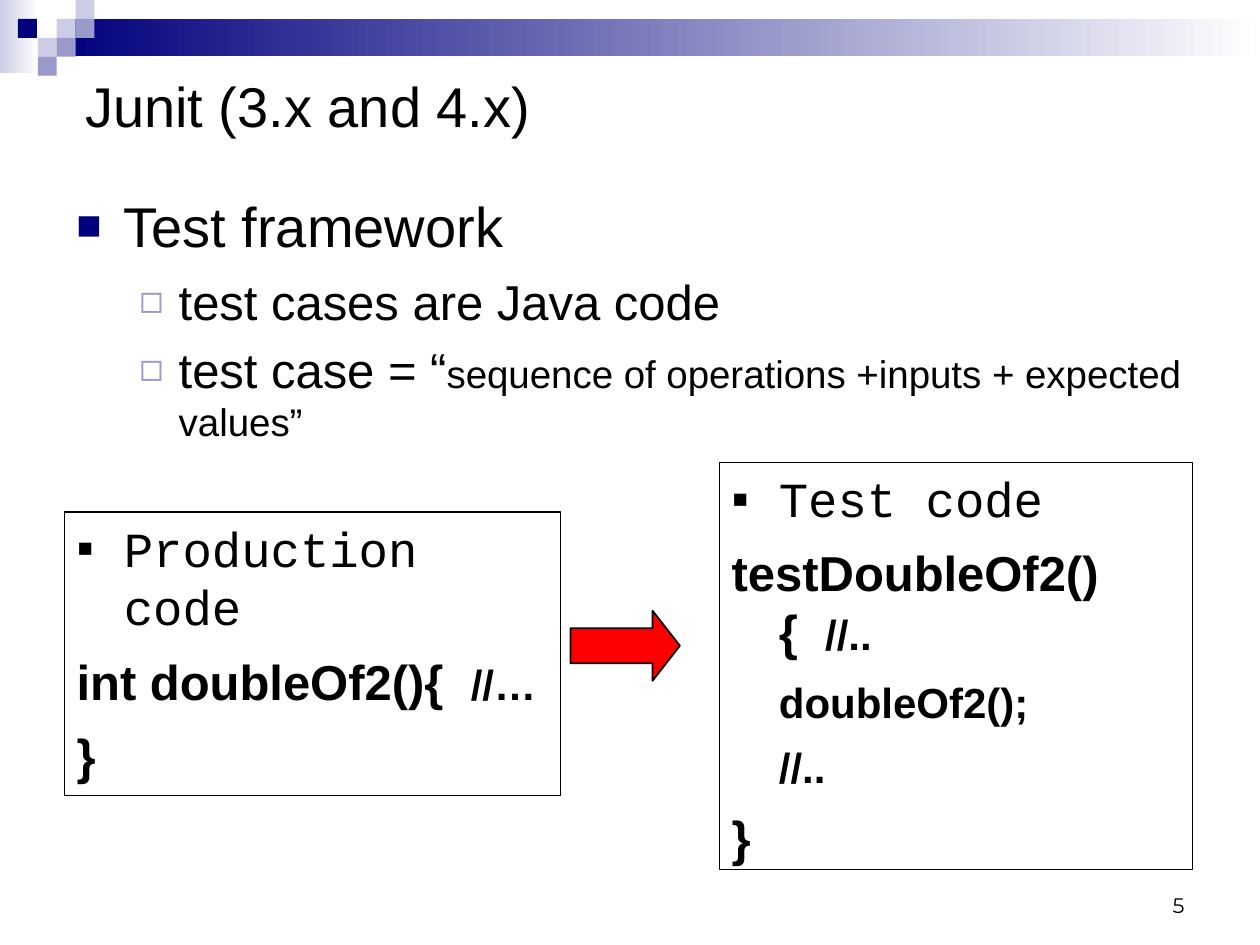
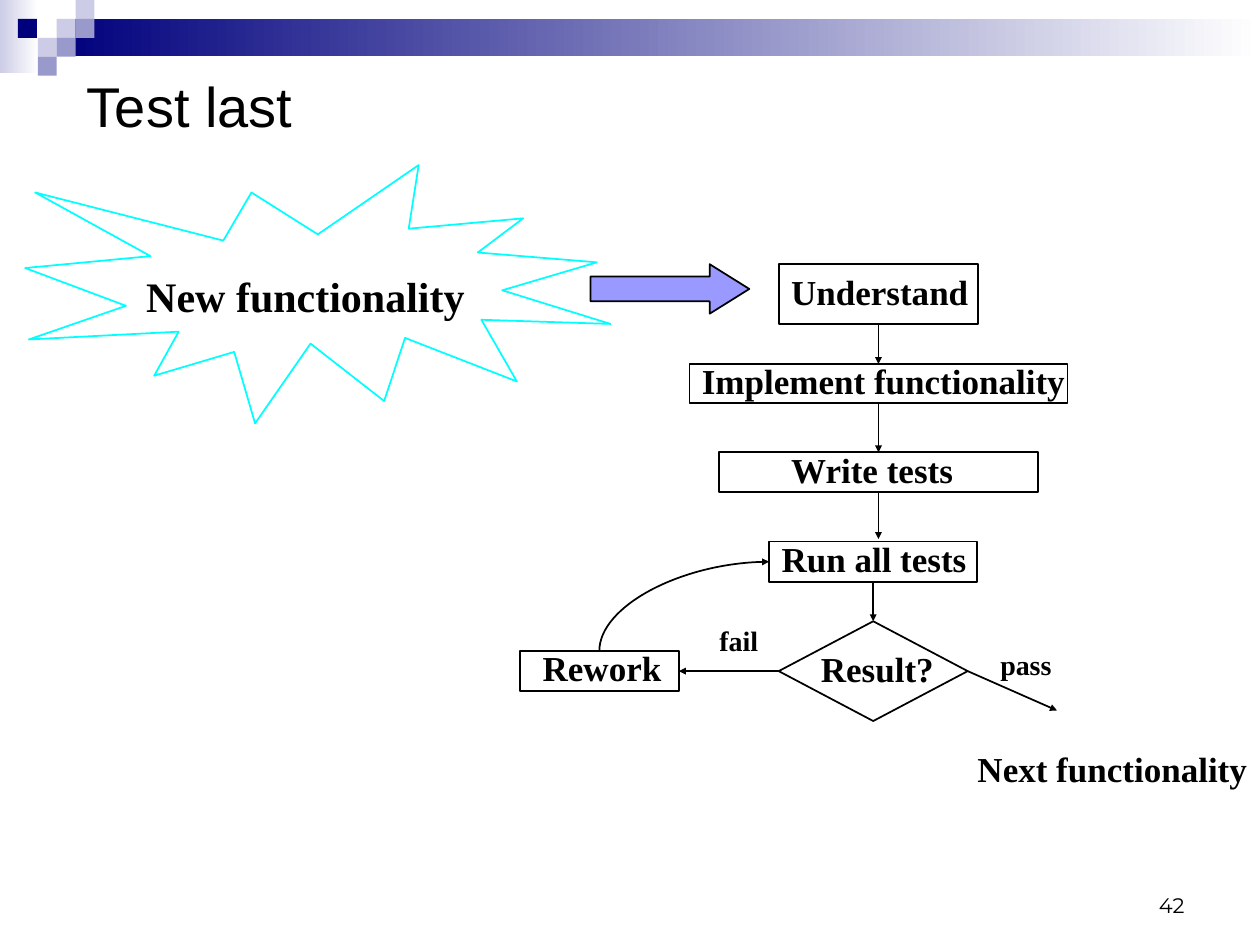
import pptx
import pptx.dml.color
import pptx.enum.shapes
import pptx.enum.text
import pptx.oxml.ns
import pptx.util
from lxml import etree

Pt = pptx.util.Pt
SHAPE = pptx.enum.shapes.MSO_SHAPE
CONNECTOR = pptx.enum.shapes.MSO_CONNECTOR
ALIGN = pptx.enum.text.PP_ALIGN
ANCHOR = pptx.enum.text.MSO_ANCHOR
AUTO_SIZE = pptx.enum.text.MSO_AUTO_SIZE
qn = pptx.oxml.ns.qn

BLACK, WHITE, NAVY = "000000", "FFFFFF", "00007D"
LAVENDER, PALE, MIDDLE = "9999CC", "CCCCE6", "9999FF"
RED, CYAN = "FF0000", "00FFFF"
SANS, MONO, SERIF, NUMBER = "Arial", "Courier New", "Times New Roman", "Montserrat"
TOP, LEFT, BOTTOM, RIGHT = range(4)


def rgb(value):
    return pptx.dml.color.RGBColor.from_string(value)


def points(*values):
    return [Pt(value) for value in values]


def add_xml(parent, tag, **attributes):
    return etree.SubElement(parent, qn(tag), attributes)


def set_bullet(paragraph, char, color, size):
    props = paragraph._p.get_or_add_pPr()
    add_xml(add_xml(props, "a:buClr"), "a:srgbClr", val=color)
    add_xml(props, "a:buSzPct", val=str(size * 1000))
    add_xml(props, "a:buFont", typeface=SANS)
    add_xml(props, "a:buChar", char=char)


def write(paragraph, text, size=20, font=SANS, color=BLACK, bold=False):
    run = paragraph.add_run()
    run.text = text
    run.font.size = Pt(size)
    run.font.name = font
    run.font.bold = bold
    run.font.color.rgb = rgb(color)


def set_frame(frame, anchor=ANCHOR.TOP, wrap=True, auto_size=AUTO_SIZE.NONE):
    frame.word_wrap = wrap
    frame.auto_size = auto_size
    frame.vertical_anchor = anchor
    frame.margin_left = frame.margin_right = Pt(7.2)
    frame.margin_top = frame.margin_bottom = Pt(3.6)


def fill_list(frame, items, after=0):
    """Write items of (runs, left, indent, space before, bullet); a run is (text, format)."""
    set_frame(frame)
    for number, (runs, left, indent, before, bullet) in enumerate(items):
        paragraph = frame.add_paragraph() if number else frame.paragraphs[0]
        paragraph.alignment = ALIGN.LEFT
        paragraph.space_before = Pt(before)
        paragraph.space_after = Pt(after)
        props = paragraph._p.get_or_add_pPr()
        props.set("marL", str(Pt(left)))
        props.set("indent", str(Pt(indent)))
        if bullet:
            set_bullet(paragraph, *bullet)
        for text, look in runs:
            write(paragraph, text, **look)


def add_box(slide, kind, box, fill=None, line=None, width=1):
    shape = slide.shapes.add_shape(kind, *points(*box))
    shape.shadow.inherit = False
    if fill:
        shape.fill.solid()
        shape.fill.fore_color.rgb = rgb(fill)
    else:
        shape.fill.background()
    if line:
        shape.line.color.rgb = rgb(line)
        shape.line.width = Pt(width)
    else:
        shape.line.fill.background()
    return shape


def add_label(slide, text, box, **look):
    frame = slide.shapes.add_textbox(*points(*box)).text_frame
    set_frame(frame, wrap=False, auto_size=AUTO_SIZE.SHAPE_TO_FIT_TEXT)
    write(frame.paragraphs[0], text, font=SERIF, bold=True, **look)


def add_arrow(slide, start, end, kind=CONNECTOR.STRAIGHT):
    """Join two ends, each a point (x, y) or a side (shape, site)."""
    start_joined, end_joined = (hasattr(part[0], "shape_id") for part in (start, end))
    arrow = slide.shapes.add_connector(kind, *points(*((0, 0) if start_joined else start),
                                                     *((0, 0) if end_joined else end)))
    if start_joined:
        arrow.begin_connect(*start)
    if end_joined:
        arrow.end_connect(*end)
    arrow.line.color.rgb = rgb(BLACK)
    arrow.line.width = Pt(1)
    add_xml(arrow.line._get_or_add_ln(), "a:tailEnd", type="triangle", w="sm", len="sm")
    add_xml(arrow._element.spPr, "a:effectLst")
    return arrow


def add_fade(slide, box, color):
    fade = add_box(slide, SHAPE.RECTANGLE, box, WHITE)
    fade.fill.gradient()
    fade.fill.gradient_angle = 0
    for stop, stop_color, position in zip(fade.fill.gradient_stops, (color, WHITE), (0, 1)):
        stop.color.rgb = rgb(stop_color)
        stop.position = position


def add_band(slide):
    add_fade(slide, (0, 0, 22, 42), PALE)
    add_fade(slide, (32.4, 10.8, 687.6, 21.3), NAVY)
    side = 10.8
    tiles = [(3, 1, PALE), (4, 0, PALE), (4, 1, LAVENDER), (2, 2, PALE),
             (0.95, 1, NAVY), (3, 2, LAVENDER), (2, 3, LAVENDER)]
    for column, row, color in tiles:
        add_box(slide, SHAPE.RECTANGLE, (column * side, row * side, side, side), color)


def add_page(deck, title, title_box, number):
    """Add a slide with the band, its title and its page number."""
    slide = deck.slides.add_slide(deck.slide_layouts[5])
    add_band(slide)
    heading = slide.shapes.title
    heading.left, heading.top, heading.width, heading.height = points(*title_box)
    set_frame(heading.text_frame, ANCHOR.MIDDLE)
    heading.text_frame.paragraphs[0].alignment = ALIGN.LEFT
    write(heading.text_frame.paragraphs[0], title, size=32)
    page = slide.shapes.add_textbox(*points(516, 492, 168, 36)).text_frame
    set_frame(page, ANCHOR.BOTTOM)
    page.paragraphs[0].alignment = ALIGN.RIGHT
    write(page.paragraphs[0], number, size=12, font=NUMBER)
    return slide


def add_code(slide, box, heading, lines):
    """Frame a bulleted heading and code lines of (runs, left, indent)."""
    panel = add_box(slide, SHAPE.RECTANGLE, box, line=BLACK, width=0.75)
    items = [([(heading, dict(size=28, font=MONO))], 27, -27, 0, ("▪", BLACK, 100))]
    items += [([(text, dict(size=size, bold=True)) for text, size in runs], left, indent, 7, None)
              for runs, left, indent in lines]
    fill_list(panel.text_frame, items, after=1.8)


def add_framework_points(slide, box):
    square, hollow = ("■", NAVY, 75), ("◻", LAVENDER, 80)
    body = slide.shapes.add_textbox(*points(*box))
    fill_list(body.text_frame, [
        ([("Test framework", dict(size=32))], 27, -27, 0, square),
        ([("test cases are Java code", dict(size=28))], 58.5, -22.5, 7, hollow),
        ([("test case = “", dict(size=28)),
          ("sequence of operations +inputs + expected values”", dict(size=22))],
         58.5, -22.5, 5.5, hollow),
    ])


def build_junit(deck):
    slide = add_page(deck, "Junit (3.x and 4.x)", (41.5, 37, 678, 46), "5")
    add_framework_points(slide, (36.5, 106, 663, 152.5))
    add_code(slide, (411, 264.3, 270.5, 232.5), "Test code", [
        ([("testDoubleOf2(){  ", 28), ("//..", 24)], 27, -27),
        ([("doubleOf2();", 24)], 27, 0),
        ([("//..", 24)], 27, 0),
        ([("}", 28)], 27, -27),
    ])
    add_code(slide, (36.7, 292.5, 283.5, 162), "Production code", [
        ([("int doubleOf2(){  ", 28), ("//…", 24)], 27, -27),
        ([("}", 28)], 27, -27),
    ])
    arrow = add_box(slide, SHAPE.RIGHT_ARROW, (326, 349, 62.5, 40), RED, BLACK)
    arrow.adjustments[1] = 0.39


def add_flow(slide, x, y):
    """Draw the test-last flowchart with its top left corner at x, y."""
    # name, kind, step box, offset of its label, label width
    steps = [
        ("Understand", SHAPE.RECTANGLE, (148, 0, 114, 34), (0, 0), 116),
        ("Implement functionality", SHAPE.RECTANGLE, (97, 57, 216, 22.5), (0, -6), 222),
        ("Write tests", SHAPE.RECTANGLE, (114, 107.5, 182, 22.5), (34, -6), 113),
        ("Run all tests", SHAPE.RECTANGLE, (142.5, 158.5, 119, 23), (0, -6), 121),
        ("Result?", SHAPE.DIAMOND, (148, 204, 108, 57), (17, 11.5), 79),
        ("Rework", SHAPE.RECTANGLE, (0, 221, 91, 23), (6, -6), 84),
    ]
    boxes = []
    for name, kind, (left, top, width, height), (dx, dy), label_width in steps:
        boxes.append(add_box(slide, kind, (x + left, y + top, width, height), line=BLACK))
        add_label(slide, name, (x + left + dx, y + top + dy, label_width, 32))
    understand, implement, write_tests, run_tests, result, rework = boxes

    for upper, lower in [(understand, implement), (implement, write_tests), (run_tests, result)]:
        add_arrow(slide, (upper, BOTTOM), (lower, TOP))
    add_arrow(slide, (write_tests, BOTTOM), (x + 205, y + 157))
    add_arrow(slide, (result, LEFT), (rework, RIGHT))
    add_arrow(slide, (result, RIGHT), (x + 307, y + 255))

    # The quarter curve is drawn upright, then turned to leave Rework upwards.
    retry = add_arrow(slide, (x + 119.5, y + 244), (x + 68.5, y + 147), CONNECTOR.CURVE)
    retry._element.spPr.find(qn("a:prstGeom")).set("prst", "curvedConnector2")
    retry.rotation = 90

    add_label(slide, "fail", (x + 107, y + 202, 38, 27), size=16)
    add_label(slide, "pass", (x + 267.5, y + 215.5, 46, 27), size=16)
    add_label(slide, "Next functionality", (x + 254.5, y + 272.5, 168.5, 32))


def build_test_last(deck):
    slide = add_page(deck, "Test last", (42.5, 31.7, 648, 57), "42")
    add_label(slide, "New functionality", (76.5, 151, 197, 36), size=24)
    add_flow(slide, 297, 151)
    add_box(slide, SHAPE.EXPLOSION1, (14.4, 94.3, 334.5, 147.6), line=CYAN)
    arrow = add_box(slide, SHAPE.RIGHT_ARROW, (337.5, 151, 90.7, 28.3), MIDDLE, BLACK)
    arrow.adjustments[1] = 0.8


def main():
    deck = pptx.Presentation()
    deck.slide_width, deck.slide_height = points(720, 540)
    build_junit(deck)
    build_test_last(deck)
    deck.save("out.pptx")


if __name__ == "__main__":
    main()
